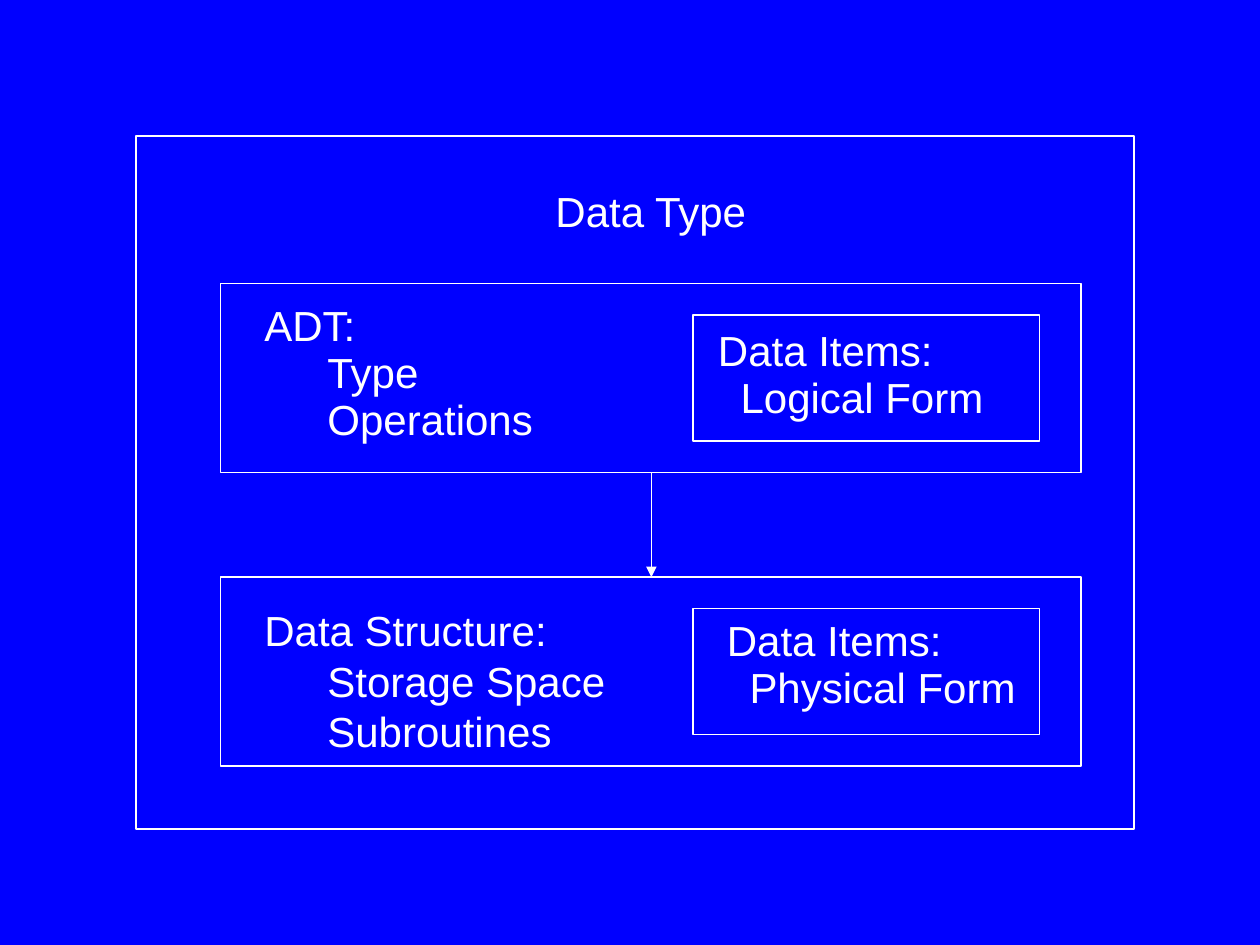
"""Build a slide relating an abstract data type to its data structure."""
from dataclasses import dataclass

import pptx
import pptx.dml.color
import pptx.enum.shapes
import pptx.enum.text
import pptx.oxml
import pptx.oxml.ns
import pptx.util
from pptx.util import Inches


@dataclass(frozen=True)
class Theme:
    background: pptx.dml.color.RGBColor = pptx.dml.color.RGBColor(0, 0, 255)
    ink: pptx.dml.color.RGBColor = pptx.dml.color.RGBColor(255, 255, 255)
    font: str = "Arial"
    size: pptx.util.Pt = pptx.util.Pt(24)
    stroke: pptx.util.Pt = pptx.util.Pt(0.75)


theme = Theme()


def style_font(paragraph):
    paragraph.font.name = theme.font
    paragraph.font.size = theme.size
    paragraph.font.color.rgb = theme.ink


def style_line(line):
    line.color.rgb = theme.ink
    line.width = theme.stroke


deck = pptx.Presentation()
deck.slide_width, deck.slide_height = Inches(10), Inches(7.5)
slide = deck.slides.add_slide(deck.slide_layouts[5])
slide.background.fill.solid()
slide.background.fill.fore_color.rgb = theme.background

heading = slide.shapes.title
heading.left, heading.top = Inches(2.83), Inches(1.42)
heading.width, heading.height = Inches(4.67), Inches(0.5)
heading.text_frame.text = "Data Type"
heading.text_frame.vertical_anchor = pptx.enum.text.MSO_ANCHOR.TOP
heading.text_frame.auto_size = pptx.enum.text.MSO_AUTO_SIZE.NONE
heading.text_frame.paragraphs[0].alignment = pptx.enum.text.PP_ALIGN.CENTER
style_font(heading.text_frame.paragraphs[0])

frames = [(1.08, 1.08, 7.92, 5.5)]
for level_top in (2.25, 4.58):
    frames += [(1.75, level_top, 6.83, 1.5), (5.5, level_top + 0.25, 2.75, 1)]
for bounds in frames:
    frame = slide.shapes.add_shape(
        pptx.enum.shapes.MSO_SHAPE.RECTANGLE, *map(Inches, bounds))
    frame.shadow.inherit = False
    frame.fill.background()
    style_line(frame.line)

implementation = slide.shapes.add_connector(
    pptx.enum.shapes.MSO_CONNECTOR.STRAIGHT,
    Inches(5.17), Inches(3.75), Inches(5.17), Inches(4.58))
style_line(implementation.line)
arrowhead = pptx.oxml.parse_xml(
    f'<a:tailEnd {pptx.oxml.ns.nsdecls("a")} type="triangle"/>')
implementation.line._get_or_add_ln().append(arrowhead)
implementation._element.spPr.append(
    pptx.oxml.parse_xml(f'<a:effectLst {pptx.oxml.ns.nsdecls("a")}/>'))

descriptions = [
    ((2, 2.5, 2.75, 1.1), ("ADT:", "Type", "Operations"), 0.5, True),
    ((5.6, 2.7, 2.74, 0.7), ("Data Items:", "Logical Form"), 0.18, True),
    ((5.67, 5, 2.75, 0.7), ("Data Items:", "Physical Form"), 0.18, True),
    ((2, 4.75, 2.91, 1.3),
     ("Data Structure:", "Storage Space", "Subroutines"), 0.5, False),
]
for bounds, entries, indent, compact in descriptions:
    description = slide.shapes.add_textbox(*map(Inches, bounds)).text_frame
    description.word_wrap = compact
    description.text = "\n".join(entries)
    for position, paragraph in enumerate(description.paragraphs):
        style_font(paragraph)
        if compact:
            paragraph.line_spacing = 0.5
            paragraph.space_before = pptx.util.Pt(12.5)
        if position:
            paragraph._p.get_or_add_pPr().set("marL", str(Inches(indent)))

deck.save("out.pptx")
